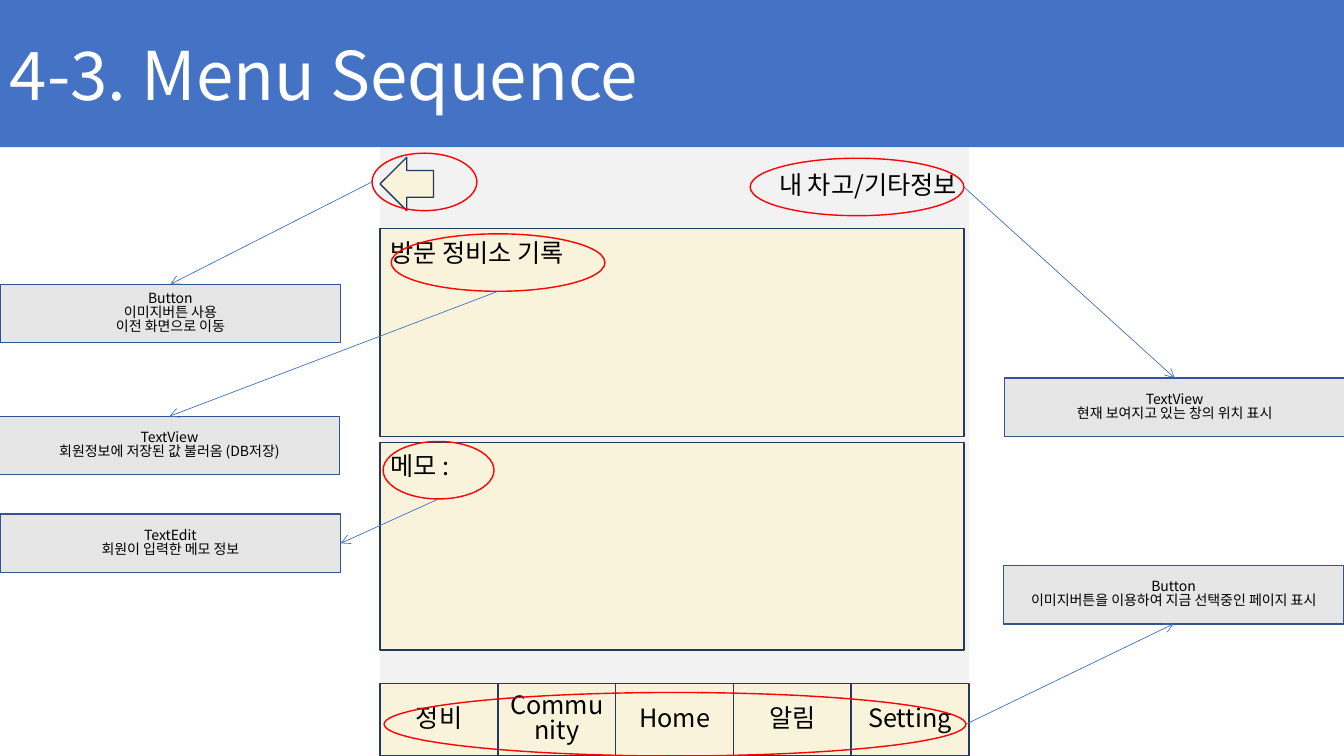
from lxml import etree
from pptx import Presentation
from pptx import util as u
from pptx.dml.color import RGBColor
from pptx.enum import shapes, text
from pptx.oxml.ns import qn

FONT = "Noto Sans CJK KR"
COLORS = {
    "banner": "4472C4", "screen": "F2F2F2", "cream": "FAF3DB", "navy": "223961",
    "note": "E7E6E6", "note_edge": "325491", "mark": "FF0000",
    "black": "000000", "white": "FFFFFF",
}
KIND = shapes.MSO_SHAPE
ALIGN = text.PP_ALIGN
ANCHOR = text.MSO_ANCHOR
TOP, BOTTOM, RIGHT = 0, 2, 3

SCREEN_LEFT, SCREEN_WIDTH = 3.77, 5.84
NAV_LABELS = ["정비", "Community", "Home", "알림", "Setting"]
PANELS = [(2.27, "방문 정비소 기록"), (4.39, "메모 :")]

# Marked area, side the arrow leaves from, note position, note side, note lines
CALLOUTS = [
    ((3.69, 1.52, 1.04, 0.57), "left", (0, 2.82), TOP,
     ["Button", "이미지버튼 사용", "이전 화면으로 이동"]),
    ((7.44, 1.57, 2.12, 0.57), "right", (9.96, 3.75), TOP,
     ["TextView", "현재 보여지고 있는 창의 위치 표시"]),
    ((3.88, 2.32, 2.12, 0.57), "bottom", (-0.01, 4.13), TOP,
     ["TextView", "회원정보에 저장된 값 불러옴 (DB저장)"]),
    ((3.8, 4.38, 1.1, 0.57), "bottom", (0, 5.1), RIGHT,
     ["TextEdit", "회원이 입력한 메모 정보"]),
    ((3.81, 6.87, 5.77, 0.63), "right", (9.95, 5.61), BOTTOM,
     ["Button", "이미지버튼을 이용하여 지금 선택중인 페이지 표시"]),
]


def rgb(name):
    return RGBColor.from_string(COLORS[name])


def add_block(slide, kind, box, fill=None, edge=None):
    block = slide.shapes.add_shape(kind, *map(u.Inches, box))
    block.shadow.inherit = False
    if fill:
        block.fill.solid()
        block.fill.fore_color.rgb = rgb(fill)
    else:
        block.fill.background()
    if edge:
        block.line.color.rgb = rgb(edge)
        block.line.width = u.Pt(1)
    else:
        block.line.fill.background()
    return block


def write(block, lines, size, color="black", align=ALIGN.LEFT,
          anchor=ANCHOR.MIDDLE, spacing=None):
    frame = block.text_frame
    frame.text = "\n".join(lines)
    frame.word_wrap = True
    frame.vertical_anchor = anchor
    for paragraph in frame.paragraphs:
        paragraph.alignment = align
        if spacing:
            paragraph.line_spacing = spacing
        for run in paragraph.runs:
            run.font.size = u.Pt(size)
            run.font.name = FONT
            run.font.color.rgb = rgb(color)
            east_asian = etree.SubElement(run.font._element, qn("a:ea"))
            east_asian.set("typeface", FONT)


def add_panel(slide, top, label):
    panel = add_block(slide, KIND.RECTANGLE, (SCREEN_LEFT, top, 5.79, 2.06),
                      "cream", "navy")
    write(panel, [label], 18, anchor=ANCHOR.TOP)
    panel.text_frame.margin_top = u.Inches(0.08)


def add_navigation(slide):
    width = SCREEN_WIDTH / len(NAV_LABELS)
    for i, label in enumerate(NAV_LABELS):
        tab = add_block(slide, KIND.RECTANGLE,
                        (SCREEN_LEFT + i * width, 6.78, width, 0.72),
                        "cream", "navy")
        write(tab, [label], 18, align=ALIGN.CENTER, spacing=0.82)


def add_arrow(slide, start, note, note_side):
    arrow = slide.shapes.add_connector(
        shapes.MSO_CONNECTOR.STRAIGHT, *map(u.Inches, start), 0, 0)
    arrow.end_connect(note, note_side)
    arrow.line.color.rgb = rgb("banner")
    arrow.line.width = u.Pt(0.5)
    etree.SubElement(arrow.line._get_or_add_ln(), qn("a:tailEnd"), type="arrow")
    etree.SubElement(arrow._element.spPr, qn("a:effectLst"))


def add_callout(slide, area, side, note_at, note_side, lines):
    add_block(slide, KIND.OVAL, area, edge="mark")
    note = add_block(slide, KIND.RECTANGLE, (*note_at, 3.38, 0.58),
                     "note", "note_edge")
    write(note, lines, 10, align=ALIGN.CENTER, spacing=0.82)
    left, top, width, height = area
    start = {
        "left": (left, top + height / 2),
        "right": (left + width, top + height / 2),
        "bottom": (left + width / 2, top + height),
    }[side]
    add_arrow(slide, start, note, note_side)


def main():
    deck = Presentation()
    deck.slide_width, deck.slide_height = u.Inches(13.33), u.Inches(7.5)
    slide = deck.slides.add_slide(deck.slide_layouts[6])

    # App screen
    add_block(slide, KIND.RECTANGLE, (SCREEN_LEFT, 1.45, SCREEN_WIDTH, 6.05), "screen")
    add_navigation(slide)
    for top, label in PANELS:
        add_panel(slide, top, label)

    # Title banner
    banner = add_block(slide, KIND.RECTANGLE, (0, 0, 13.33, 1.46), "banner")
    write(banner, ["4-3. Menu Sequence"], 48, "white")

    # Screen header
    add_block(slide, KIND.LEFT_ARROW, (SCREEN_LEFT, 1.56, 0.53, 0.53), "cream", "navy")
    location = slide.shapes.add_textbox(*map(u.Inches, (5.15, 1.47, 4.44, 0.72)))
    write(location, ["내 차고/기타정보"], 18, align=ALIGN.RIGHT)

    # Explanations of the marked areas
    for callout in CALLOUTS:
        add_callout(slide, *callout)

    deck.save("out.pptx")


if __name__ == "__main__":
    main()
